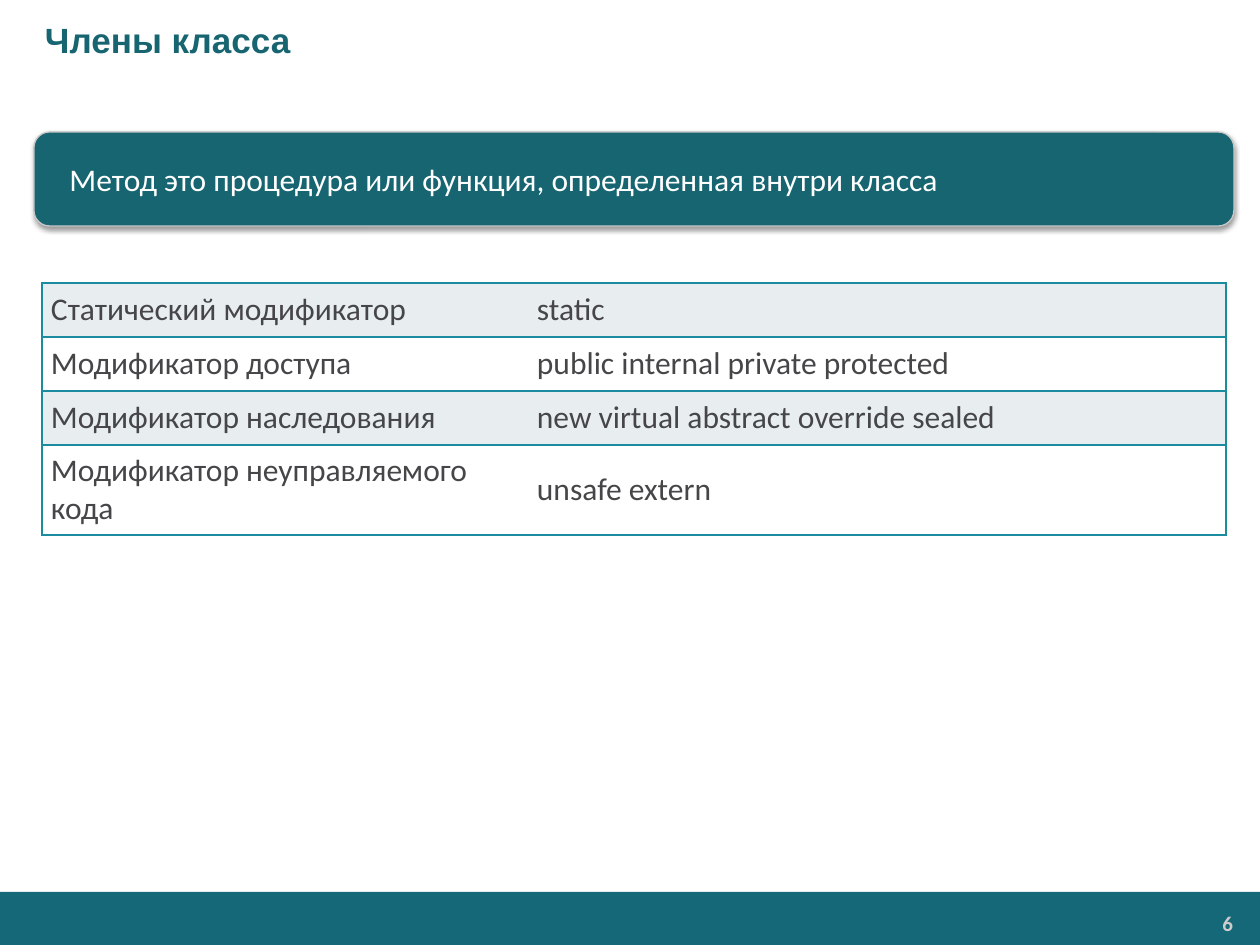
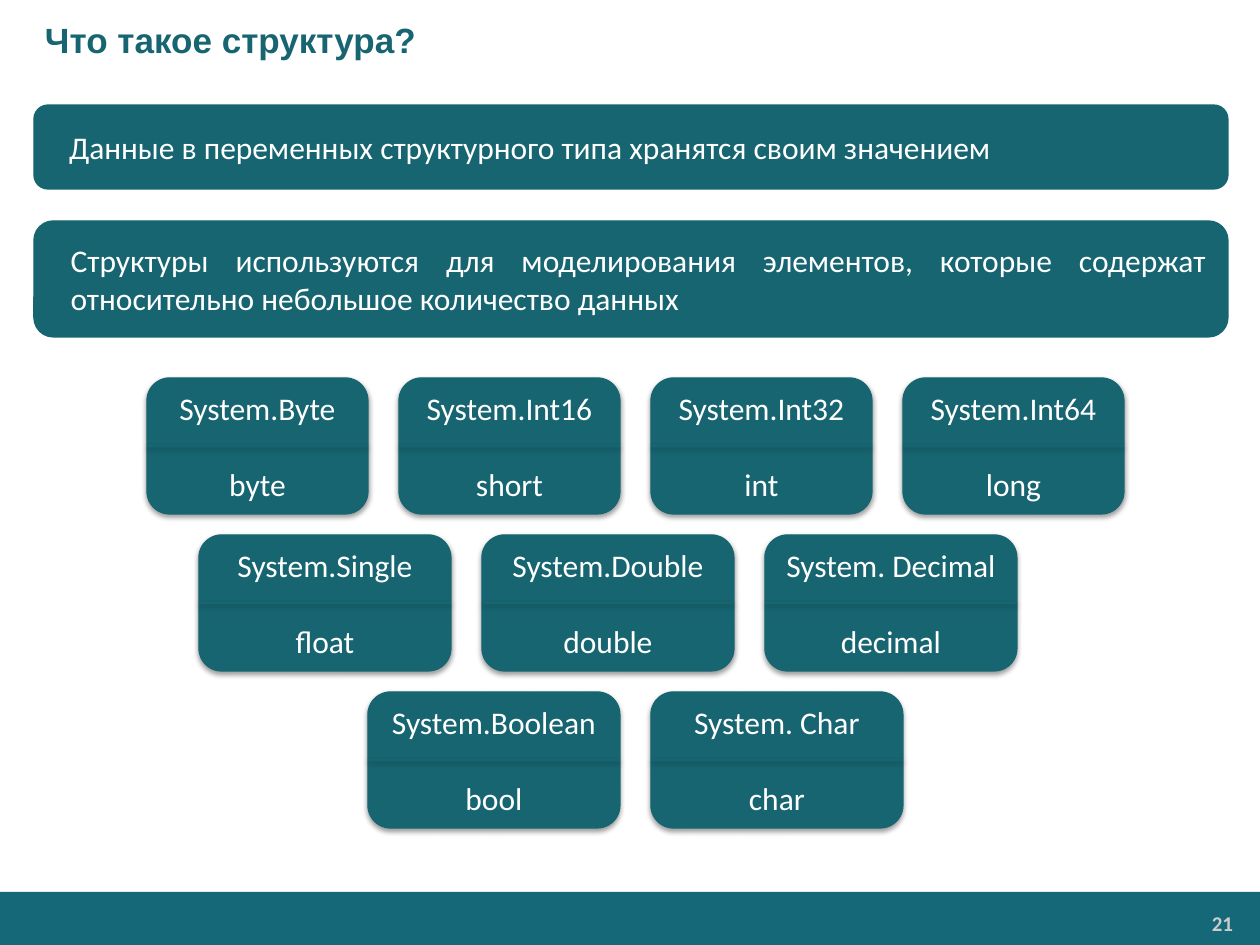
from lxml import etree
from pptx import Presentation
from pptx.dml.color import RGBColor
from pptx.enum.shapes import MSO_CONNECTOR, MSO_SHAPE
from pptx.enum.text import MSO_ANCHOR, PP_ALIGN
from pptx.oxml.ns import qn
from pptx.util import Pt

RECT, ROUNDED = MSO_SHAPE.RECTANGLE, MSO_SHAPE.ROUNDED_RECTANGLE
STRAIGHT = MSO_CONNECTOR.STRAIGHT
TOP, MIDDLE = MSO_ANCHOR.TOP, MSO_ANCHOR.MIDDLE
LEFT, CENTER = PP_ALIGN.LEFT, PP_ALIGN.CENTER
RIGHT, JUSTIFY = PP_ALIGN.RIGHT, PP_ALIGN.JUSTIFY

# Content
MEMBERS = {
    "title": "Члены класса",
    "page": "6",
    "definition": "Метод это процедура или функция, определенная внутри класса",
    "modifiers": [
        ("Статический модификатор", "static"),
        ("Модификатор доступа", "public internal private protected"),
        ("Модификатор наследования", "new virtual abstract override sealed"),
        ("Модификатор неуправляемого кода", "unsafe extern"),
    ],
}
STRUCTURES = {
    "title": "Что такое структура?",
    "page": "21",
    # text, top, height
    "statements": [
        ("Данные в переменных структурного типа хранятся своим значением", 105, 84),
        ("Структуры используются для моделирования элементов, которые содержат "
         "относительно небольшое количество данных", 221, 116),
    ],
    # left of the row, card width, cards
    "type_rows": [
        (147, 221, [("System.Byte", "byte"), ("System.Int16", "short"),
                    ("System.Int32", "int"), ("System.Int64", "long")]),
        (199, 252, [("System.Single", "float"), ("System.Double", "double"),
                    ("System. Decimal", "decimal")]),
        (368, 252, [("System.Boolean", "bool"), ("System. Char", "char")]),
    ],
}

# Shared look
COLORS = {
    "teal": "176571", "band": "146878", "page": "CCCCCC", "outline": "C8C8C8",
    "white": "FFFFFF", "stripe": "E8EEF0", "border": "1B8BA0", "text": "464547",
}
WIDTH, HEIGHT = 1260, 945
BAND_TOP = 892
CARDS_TOP, CARD_HEIGHT, CARD_GAP, ROW_GAP = 378, 136, 31, 21


def px(length):
    return round(length * 914400 / 126)


def box(*lengths):
    return [px(length) for length in lengths]


def rgb(name):
    return RGBColor.from_string(COLORS[name])


def write(frame, *lines, size=18, font="Calibri", color="white", bold=False,
          align=LEFT, anchor=MIDDLE, indent=0, gap=0, inset=(13, 6)):
    """Fill a text frame with one paragraph per line."""
    frame.word_wrap = True
    frame.vertical_anchor = anchor
    frame.margin_left = frame.margin_right = px(inset[0])
    frame.margin_top = frame.margin_bottom = px(inset[1])
    for index, line in enumerate(lines):
        paragraph = frame.add_paragraph() if index else frame.paragraphs[0]
        paragraph.text = line
        paragraph.alignment = align
        paragraph.space_before = Pt(gap if index else 0)
        properties = paragraph._p.get_or_add_pPr()
        properties.set("marL", str(px(indent)))
        properties.set("indent", "0")
        for run in paragraph.runs:
            run.font.size = Pt(size)
            run.font.name = font
            run.font.bold = bold
            run.font.color.rgb = rgb(color)


def set_shadow(item, shown):
    """Give a shape or connector its soft shadow, or none."""
    effects = etree.SubElement(item._element.spPr, qn("a:effectLst"))
    if shown:
        outer = etree.SubElement(effects, qn("a:outerShdw"), blurRad=str(Pt(3.1)),
                                 dist=str(Pt(1.6)), dir="5400000", rotWithShape="0")
        black = etree.SubElement(outer, qn("a:srgbClr"), val="000000")
        etree.SubElement(black, qn("a:alpha"), val="38000")


def add_block(shapes, kind, place, fill="teal", line=None, shadow=False):
    block = shapes.add_shape(kind, *box(*place))
    block.fill.solid()
    block.fill.fore_color.rgb = rgb(fill)
    if line:
        block.line.color.rgb = rgb(line)
        block.line.width = Pt(0.75)
    else:
        block.line.fill.background()
    set_shadow(block, shadow)
    return block


def add_statement(slide, text, place, line="teal", shadow=False):
    banner = add_block(slide.shapes, ROUNDED, place, line=line, shadow=shadow)
    write(banner.text_frame, text, align=JUSTIFY, indent=15, inset=(16, 8))


def add_slide(deck, content):
    """Start a slide with its title, bottom band and page number."""
    slide = deck.slides.add_slide(deck.slide_layouts[5])
    add_block(slide.shapes, RECT, (0, BAND_TOP, WIDTH, HEIGHT - BAND_TOP), fill="band")
    page = slide.shapes.add_textbox(*box(1037, 906, 205, 35))
    write(page.text_frame, content["page"], size=12, color="page", bold=True,
          align=RIGHT, anchor=TOP, inset=(9, 5))
    title = slide.shapes.title
    title.left, title.top, title.width, title.height = box(0, 0, WIDTH, 79)
    write(title.text_frame, content["title"], size=20, font="Arial", color="teal",
          bold=True, indent=32)
    return slide


def set_borders(cell, sides):
    """Draw the named sides of a cell and clear the others."""
    properties = cell._tc.get_or_add_tcPr()
    for side in "LRTB":
        edge = etree.SubElement(properties, qn(f"a:ln{side}"), w=str(Pt(1)))
        if side in sides:
            fill = etree.SubElement(edge, qn("a:solidFill"))
            etree.SubElement(fill, qn("a:srgbClr"), val=COLORS["border"])
        else:
            etree.SubElement(edge, qn("a:noFill"))


def add_modifiers(slide, modifiers):
    widths, heights = (486, 698), (54, 54, 54, 90)
    table = slide.shapes.add_table(
        len(heights), len(widths), *box(42, 283, sum(widths), sum(heights))).table
    table.first_row = table.horz_banding = False
    for column, width in zip(table.columns, widths):
        column.width = px(width)
    for row_index, (row, height) in enumerate(zip(table.rows, heights)):
        row.height = px(height)
        for cell, text, outer_side in zip(row.cells, modifiers[row_index], "LR"):
            set_borders(cell, "TB" + outer_side)
            cell.fill.solid()
            cell.fill.fore_color.rgb = rgb("white" if row_index % 2 else "stripe")
            write(cell.text_frame, text, color="text")
            cell.vertical_anchor = MIDDLE
            cell.margin_left = cell.margin_right = px(9)
            cell.margin_top = cell.margin_bottom = px(6)


def add_type_card(slide, names, left, top, width):
    """A card with the system type above its divider and the keyword below."""
    shapes = slide.shapes.add_group_shape().shapes
    card = add_block(shapes, ROUNDED, (left, top, width, CARD_HEIGHT),
                     line="teal", shadow=True)
    write(card.text_frame, *names, align=CENTER, gap=22)
    middle = top + CARD_HEIGHT // 2
    divider = shapes.add_connector(STRAIGHT, *box(left, middle, left + width, middle))
    divider.line.color.rgb = rgb("teal")
    divider.line.width = Pt(0.75)
    set_shadow(divider, True)


def main():
    deck = Presentation()
    deck.slide_width, deck.slide_height = box(WIDTH, HEIGHT)

    # Class members
    slide = add_slide(deck, MEMBERS)
    add_statement(slide, MEMBERS["definition"], (34, 132, 1200, 94),
                  line="outline", shadow=True)
    add_modifiers(slide, MEMBERS["modifiers"])

    # Structures
    slide = add_slide(deck, STRUCTURES)
    for text, top, height in STRUCTURES["statements"]:
        add_statement(slide, text, (34, top, 1194, height))
    for row, (left, width, cards) in enumerate(STRUCTURES["type_rows"]):
        top = CARDS_TOP + row * (CARD_HEIGHT + ROW_GAP)
        for column, names in enumerate(cards):
            add_type_card(slide, names, left + column * (width + CARD_GAP), top, width)

    deck.save("out.pptx")


if __name__ == "__main__":
    main()
